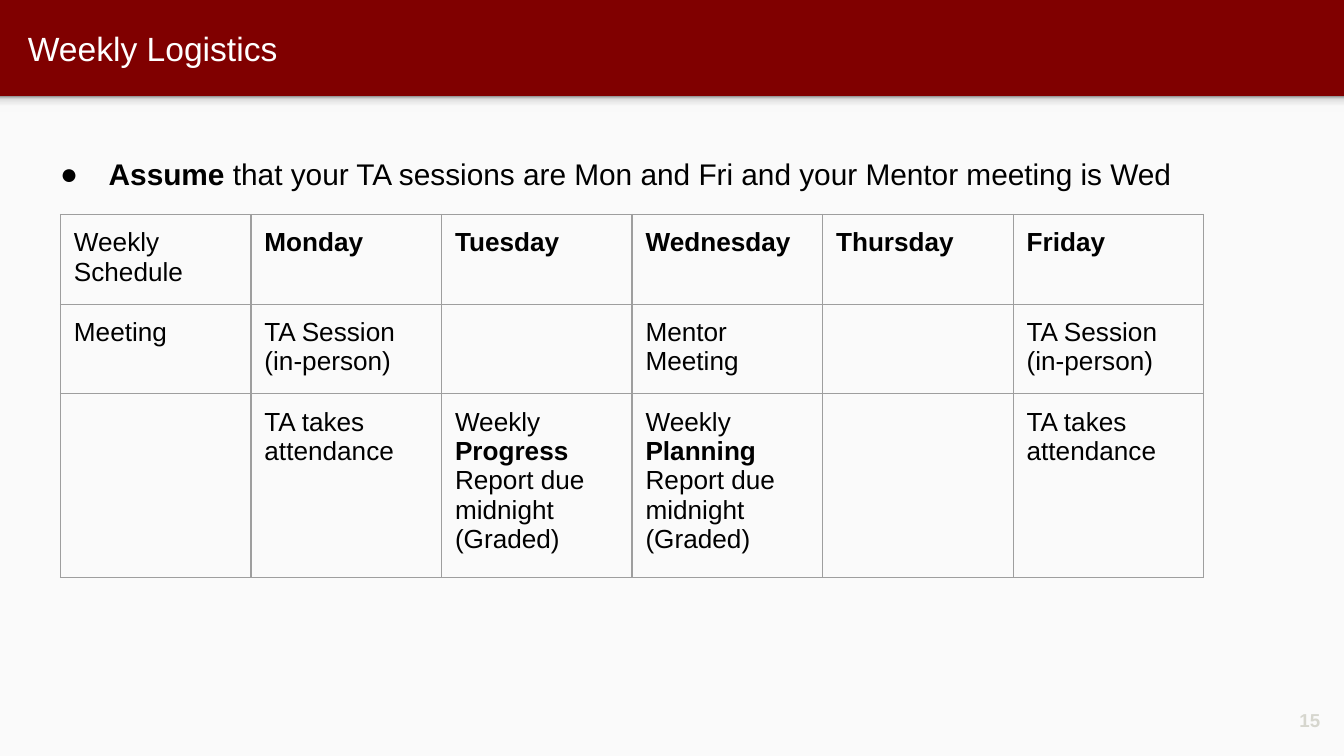
from lxml.etree import SubElement
from pptx import Presentation
from pptx.dml.color import RGBColor
from pptx.enum.shapes import MSO_SHAPE
from pptx.enum.text import MSO_ANCHOR, PP_ALIGN
from pptx.oxml.ns import qn
from pptx.util import Pt

COLORS = {
    "maroon": "800000",
    "paper": "FAFAFA",
    "white": "FFFFFF",
    "black": "000000",
    "number": "D6D6CE",
    "border": "9E9E9E",
}
SHADOW_STOPS = [(0, "F9F9F9"), (36, "F9F9F9"), (80, "DEDEDE"), (100, "999999")]

TA_SESSION = ["TA Session (in-person)"]
ATTENDANCE = ["TA takes attendance"]


def report(kind):
    return ["Weekly ", (kind, True), " Report due midnight (Graded)"]


DAYS = ["Monday", "Tuesday", "Wednesday", "Thursday", "Friday"]
SCHEDULE = [
    [["Weekly Schedule"]] + [[(day, True)] for day in DAYS],
    [["Meeting"], TA_SESSION, [], ["Mentor Meeting"], [], TA_SESSION],
    [[], ATTENDANCE, report("Progress"), report("Planning"), [], ATTENDANCE],
]


class SlideBuilder:
    font_name = "Arial"
    inset = Pt(7.2)

    def __init__(self, slide):
        self.slide = slide

    def color(self, name):
        return RGBColor.from_string(COLORS[name])

    def background(self, color):
        fill = self.slide.background.fill
        fill.solid()
        fill.fore_color.rgb = self.color(color)

    def rectangle(self, left, top, width, height):
        shape = self.slide.shapes.add_shape(
            MSO_SHAPE.RECTANGLE, Pt(left), Pt(top), Pt(width), Pt(height))
        shape.shadow.inherit = False
        shape.line.fill.background()
        return shape

    def panel(self, left, top, width, height, color):
        shape = self.rectangle(left, top, width, height)
        shape.fill.solid()
        shape.fill.fore_color.rgb = self.color(color)

    def gradient_strip(self, left, top, width, height, stops):
        """Fill a strip from bottom to top with (percent, hex) stops."""
        shape = self.rectangle(left, top, width, height)
        shape.fill.gradient()
        shape.fill.gradient_angle = 90
        stop_list = shape._element.spPr.find(qn("a:gradFill")).find(qn("a:gsLst"))
        for old_stop in list(stop_list):
            stop_list.remove(old_stop)
        for percent, value in stops:
            stop = SubElement(stop_list, qn("a:gs"), pos=str(percent * 1000))
            SubElement(stop, qn("a:srgbClr"), val=value)

    def add_runs(self, paragraph, runs, size, color, bold=False):
        """Add runs, each a string or a (string, bold) pair."""
        font = paragraph.font
        font.name, font.size, font.bold = self.font_name, Pt(size), bold
        font.color.rgb = self.color(color)
        for item in runs:
            text, run_bold = (item, None) if isinstance(item, str) else item
            run = paragraph.add_run()
            run.text = text
            if run_bold is not None:
                run.font.bold = run_bold

    def text(self, left, top, width, height, runs, size, color, bold=False,
             align=PP_ALIGN.LEFT, anchor=MSO_ANCHOR.MIDDLE, bullet=None):
        box = self.slide.shapes.add_textbox(
            Pt(left), Pt(top), Pt(width), Pt(height))
        frame = box.text_frame
        frame.word_wrap = True
        frame.vertical_anchor = anchor
        frame.margin_left = frame.margin_right = self.inset
        frame.margin_top = frame.margin_bottom = self.inset
        paragraph = frame.paragraphs[0]
        paragraph.alignment = align
        if bullet:
            paragraph.line_spacing = 1.15
            self.add_bullet(paragraph, bullet, color)
        self.add_runs(paragraph, runs, size, color, bold)

    def add_bullet(self, paragraph, character, color):
        properties = paragraph._p.get_or_add_pPr()
        properties.set("marL", str(Pt(36)))
        properties.set("indent", str(-Pt(26)))
        bullet_color = SubElement(properties, qn("a:buClr"))
        SubElement(bullet_color, qn("a:srgbClr"), val=COLORS[color])
        SubElement(properties, qn("a:buFont"), typeface=self.font_name)
        SubElement(properties, qn("a:buChar"), char=character)

    def table(self, left, top, column_width, row_heights, rows, size):
        columns = len(rows[0])
        table = self.slide.shapes.add_table(
            len(rows), columns, Pt(left), Pt(top),
            Pt(column_width * columns), Pt(sum(row_heights))).table
        table.first_row = table.horz_banding = False
        for column in table.columns:
            column.width = Pt(column_width)
        for row, height, contents in zip(table.rows, row_heights, rows):
            row.height = Pt(height)
            for cell, runs in zip(row.cells, contents):
                cell.margin_left = cell.margin_right = self.inset
                cell.margin_top = cell.margin_bottom = self.inset
                self.add_borders(cell)
                cell.fill.background()
                self.add_runs(cell.text_frame.paragraphs[0], runs, size, "black")

    def add_borders(self, cell):
        properties = cell._tc.get_or_add_tcPr()
        for side in ("lnL", "lnR", "lnT", "lnB"):
            line = SubElement(properties, qn(f"a:{side}"), w=str(Pt(0.75)))
            fill = SubElement(line, qn("a:solidFill"))
            SubElement(fill, qn("a:srgbClr"), val=COLORS["border"])


def main():
    presentation = Presentation()
    presentation.slide_width, presentation.slide_height = Pt(720), Pt(405)
    slide = presentation.slides.add_slide(presentation.slide_layouts[6])
    builder = SlideBuilder(slide)

    builder.background("maroon")
    builder.panel(0, 51.5, 720, 353.5, "paper")
    builder.gradient_strip(0, 51.5, 720, 8.5, SHADOW_STOPS)
    builder.text(7.9, 1.8, 695, 47.5, ["Weekly Logistics"], 18, "white")
    builder.text(671, 370, 43.3, 31, ["15"], 10, "number", bold=True,
                 align=PP_ALIGN.RIGHT)
    builder.text(
        15.2, 73.5, 672.5, 34,
        [("Assume", True),
         " that your TA sessions are Mon and Fri and your Mentor meeting is Wed"],
        16, "black", anchor=MSO_ANCHOR.TOP, bullet="●")
    builder.table(32.4, 114.9, 102.1, [48, 48, 98.5], SCHEDULE, 14)

    presentation.save("out.pptx")


if __name__ == "__main__":
    main()
